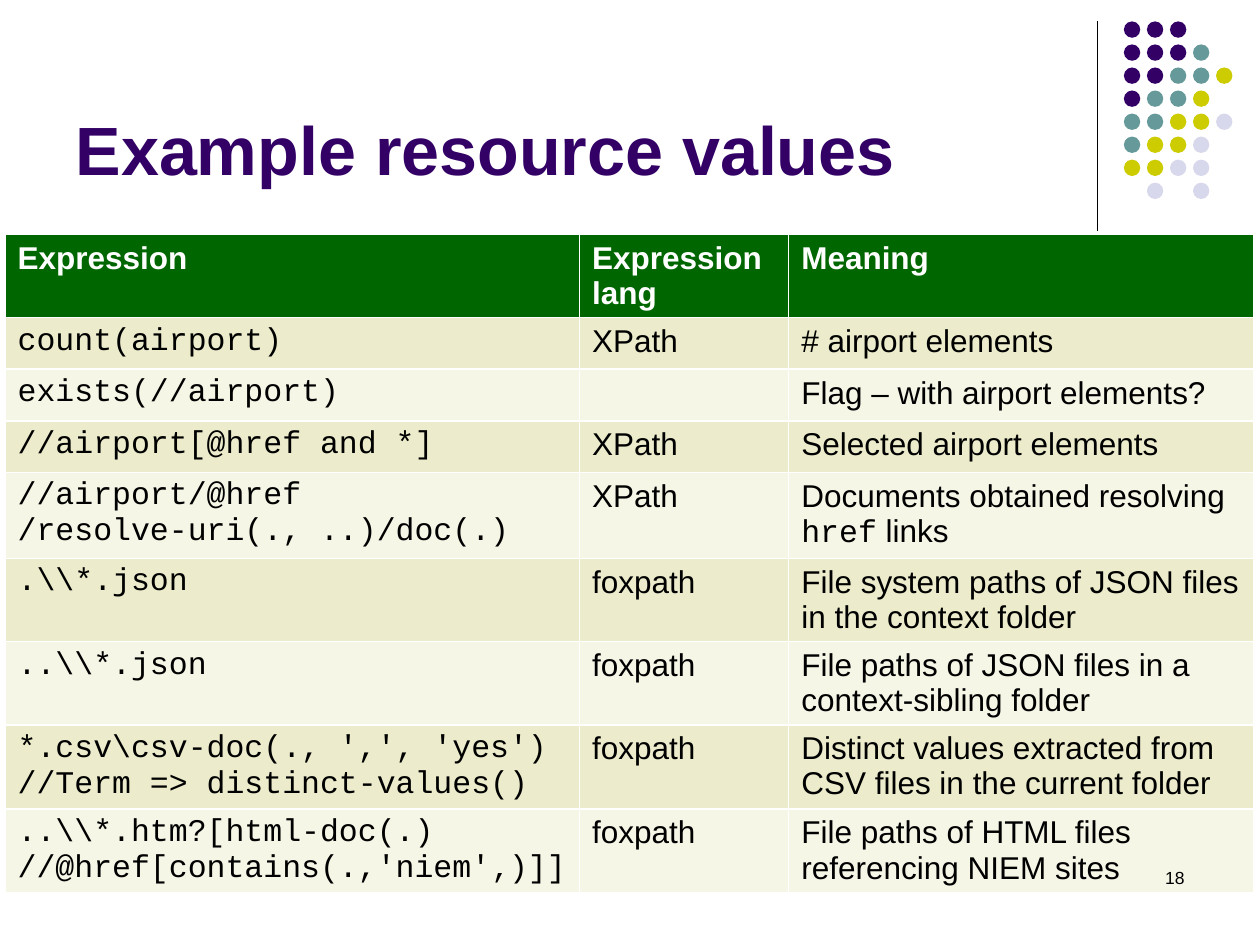
from dataclasses import dataclass

from lxml import etree
from pptx import Presentation
from pptx.dml.color import RGBColor
from pptx.enum.shapes import MSO_CONNECTOR, MSO_SHAPE
from pptx.enum.text import MSO_ANCHOR, MSO_AUTO_SIZE, PP_ALIGN
from pptx.oxml.ns import qn
from pptx.slide import Slide
from pptx.table import _Cell
from pptx.text.text import _Paragraph
from pptx.util import Inches, Pt

OVAL = MSO_SHAPE.OVAL
STRAIGHT = MSO_CONNECTOR.STRAIGHT
BOTTOM = MSO_ANCHOR.BOTTOM
NO_FIT = MSO_AUTO_SIZE.NONE
LEFT, RIGHT = PP_ALIGN.LEFT, PP_ALIGN.RIGHT


@dataclass(frozen=True)
class Theme:
    purple: str = "330066"
    teal: str = "669999"
    lime: str = "CCCC00"
    lilac: str = "D8D8EC"
    header: str = "006600"
    bands: tuple[str, str] = ("ECECCC", "F6F6E7")
    white: str = "FFFFFF"
    black: str = "000000"
    sans: str = "Arial"
    mono: str = "Courier New"
    title_size: int = 39
    table_size: int = 18
    number_size: int = 10


@dataclass(frozen=True)
class Example:
    expression: tuple[str, ...]
    lang: str
    meaning: str


THEME = Theme()
HEADINGS = ("Expression", "Expression lang", "Meaning")
COLUMN_WIDTHS = (4.56, 1.66, 3.69)
ROW_HEIGHT = 0.41
EXAMPLES = (
    Example(("count(airport)",), "XPath", "# airport elements"),
    Example(("exists(//airport)",), "", "Flag – with airport elements?"),
    Example(("//airport[@href and *]",), "XPath", "Selected airport elements"),
    Example(("//airport/@href", "/resolve-uri(., ..)/doc(.)"), "XPath",
            "Documents obtained resolving `href` links"),
    Example((r".\\*.json",), "foxpath",
            "File system paths of JSON files in the context folder"),
    Example((r"..\\*.json",), "foxpath",
            "File paths of JSON files in a context-sibling folder"),
    Example((r"*.csv\csv-doc(., ',', 'yes')", "//Term => distinct-values()"),
            "foxpath",
            "Distinct values extracted from CSV files in the current folder"),
    Example((r"..\\*.htm?[html-doc(.)", "//@href[contains(.,'niem'‚)]]"),
            "foxpath", "File paths of HTML files referencing NIEM sites"),
)

DOT_ROWS = ("PPP", "PPPT", "PPTTL", "PTTL", "TTLLV", "TLLV", "LLVV", " V V")
DOT_COLORS = {"P": THEME.purple, "T": THEME.teal,
              "L": THEME.lime, "V": THEME.lilac}
DOT_LEFT, DOT_TOP, DOT_SIZE = 8.92, 0.17, 0.13
DOT_PITCH = 1.28 / (len(DOT_ROWS) - 1)


def add_run(p: _Paragraph, text: str, size: int, color: str,
            font: str = THEME.sans, bold: bool = False) -> None:
    r = p.add_run()
    r.text = text
    for name, value in {"name": font, "size": Pt(size), "bold": bold}.items():
        setattr(r.font, name, value)
    r.font.color.rgb = RGBColor.from_string(color)


def add_dots(s: Slide) -> None:
    group = s.shapes.add_group_shape()
    for row, keys in enumerate(DOT_ROWS):
        for col, key in enumerate(keys):
            if key not in DOT_COLORS:
                continue
            sp = group.shapes.add_shape(
                OVAL, Inches(DOT_LEFT + col * DOT_PITCH),
                Inches(DOT_TOP + row * DOT_PITCH),
                Inches(DOT_SIZE), Inches(DOT_SIZE))
            sp.shadow.inherit = False
            sp.fill.solid()
            sp.fill.fore_color.rgb = RGBColor.from_string(DOT_COLORS[key])
            sp.line.fill.background()


def add_rule(s: Slide) -> None:
    line = s.shapes.add_connector(STRAIGHT, Inches(8.71), Inches(0.17),
                                  Inches(8.71), Inches(1.83))
    line.line.width = Pt(0.75)
    line.line.color.rgb = RGBColor.from_string(THEME.black)
    etree.SubElement(line._element.spPr, qn("a:effectLst"))


def add_title(s: Slide, text: str) -> None:
    sp = s.shapes.title
    box = {"left": 0.5, "top": 0.13, "width": 8.25, "height": 1.42}
    for name, value in box.items():
        setattr(sp, name, Inches(value))
    tf = sp.text_frame
    for name, value in {"vertical_anchor": BOTTOM, "auto_size": NO_FIT,
                        "word_wrap": True}.items():
        setattr(tf, name, value)
    p = tf.paragraphs[0]
    p.alignment = LEFT
    add_run(p, text, THEME.title_size, THEME.purple, bold=True)


def fill_cell(cell: _Cell, lines: tuple[str, ...], fill: str,
              color: str = THEME.black, bold: bool = False) -> None:
    cell.fill.solid()
    cell.fill.fore_color.rgb = RGBColor.from_string(fill)
    tf = cell.text_frame
    for i, line in enumerate(lines):
        p = tf.add_paragraph() if i else tf.paragraphs[0]
        for j, part in enumerate(line.split("`")):
            if part:
                font = THEME.mono if j % 2 else THEME.sans
                add_run(p, part, THEME.table_size, color, font, bold)


def add_examples(s: Slide) -> None:
    frame = s.shapes.add_table(
        len(EXAMPLES) + 1, len(HEADINGS), Inches(0.04), Inches(1.86),
        Inches(sum(COLUMN_WIDTHS)), Inches(5.42))
    table = frame.table
    for column, width in zip(table.columns, COLUMN_WIDTHS):
        column.width = Inches(width)
    for row in table.rows:
        row.height = Inches(ROW_HEIGHT)
    for col, heading in enumerate(HEADINGS):
        fill_cell(table.cell(0, col), (heading,), THEME.header,
                  THEME.white, True)
    for i, example in enumerate(EXAMPLES):
        code = tuple(f"`{line}`" for line in example.expression)
        texts = (code, (example.lang,), (example.meaning,))
        for col, lines in enumerate(texts):
            fill_cell(table.cell(i + 1, col), lines, THEME.bands[i % 2])


def add_number(s: Slide, text: str) -> None:
    sp = s.shapes.add_textbox(Inches(7.17), Inches(6.83),
                              Inches(2.33), Inches(0.5))
    sp.text_frame.word_wrap = True
    p = sp.text_frame.paragraphs[0]
    p.alignment = RIGHT
    add_run(p, text, THEME.number_size, THEME.black)


def main() -> None:
    prs = Presentation()
    prs.slide_width, prs.slide_height = Inches(10), Inches(7.5)
    s = prs.slides.add_slide(prs.slide_layouts[5])
    add_rule(s)
    add_dots(s)
    add_title(s, "Example resource values")
    add_examples(s)
    add_number(s, "18")
    prs.save("out.pptx")


if __name__ == "__main__":
    main()
